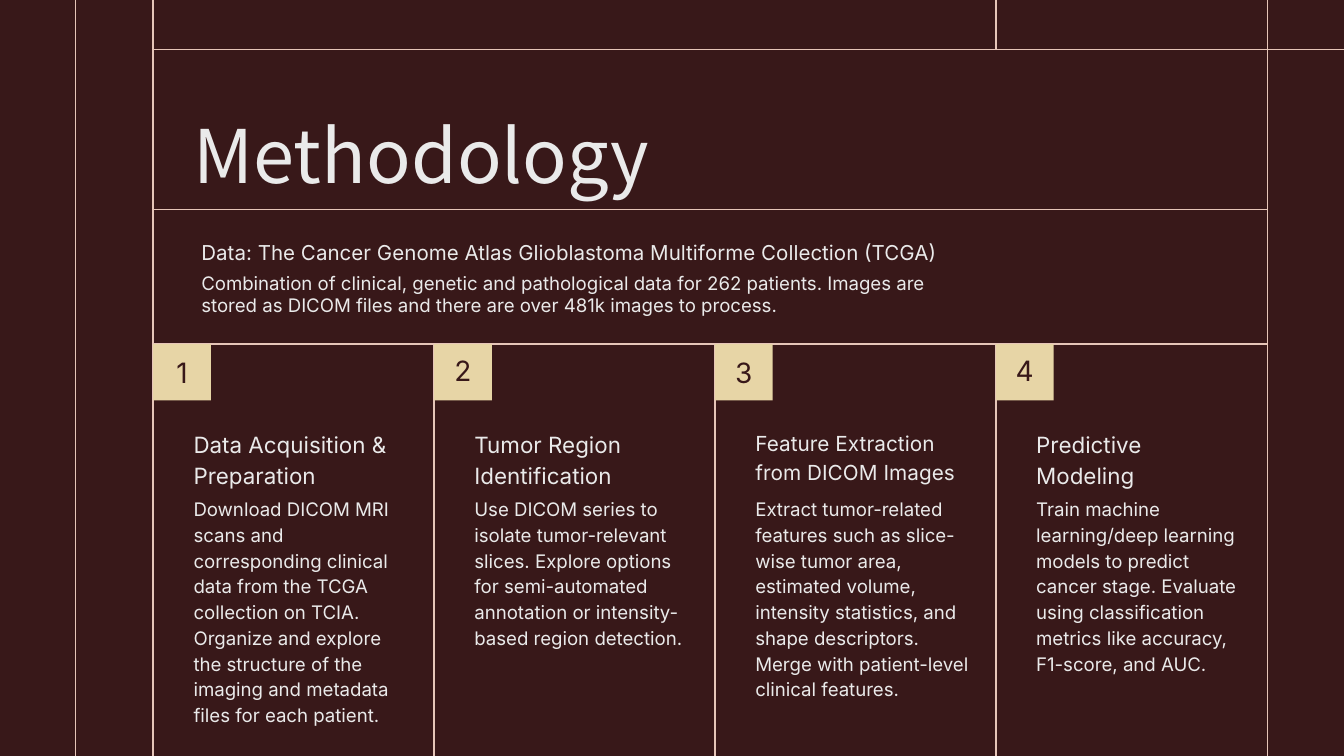
import pptx
import pptx.util
import pptx.dml.color
import pptx.enum.shapes
import pptx.enum.text
import pptx.oxml

Inch = pptx.util.Inches
Anchor = pptx.enum.text.MSO_ANCHOR
Align = pptx.enum.text.PP_ALIGN

WIDE = 10
HIGH = WIDE * 9 / 16
BACK, PALE, ROSE, SAND = "381819", "EAEAEA", "E6C5B8", "E7D5A6"
LEFT, STEP, RIGHT = 1.14, 2.09, 9.43
EDGE, HEAD, RULE, ROW, TEXT = 0.56, 0.37, 1.56, 2.56, 3.68
TAG = (0.43, 0.42)

title = "Methodology"
data = [
    ("Data: The Cancer Genome Atlas Glioblastoma Multiforme Collection (TCGA)", 1.69, 0.39, 11),
    ("Combination of clinical, genetic and pathological data for 262 patients. "
     "Images are stored as DICOM files and there are over 481k images to process.", 1.92, 0.54, 10),
]
steps = [
    ("Data Acquisition & Preparation", 12, 1,
     "Download DICOM MRI scans and corresponding clinical data from the TCGA collection on TCIA. "
     "Organize and explore the structure of the imaging and metadata files for each patient."),
    ("Tumor Region Identification", 12, 0.9,
     "Use DICOM series to isolate tumor-relevant slices. Explore options for semi-automated "
     "annotation or intensity-based region detection."),
    ("Feature Extraction from DICOM Images", 11.1, 1,
     "Extract tumor-related features such as slice-wise tumor area, estimated volume, intensity "
     "statistics, and shape descriptors. Merge with patient-level clinical features."),
    ("Predictive Modeling", 12, 0.9,
     "Train machine learning/deep learning models to predict cancer stage. Evaluate using "
     "classification metrics like accuracy, F1-score, and AUC."),
]
cols = [LEFT + STEP * i for i in range(len(steps))]
lines = [
    (EDGE, 0, EDGE, HIGH),
    (LEFT, 0, LEFT, HIGH),
    (RIGHT, 0, RIGHT, HIGH),
    (cols[-1], 0, cols[-1], HEAD),
    (LEFT, HEAD, WIDE, HEAD),
    (LEFT, RULE, RIGHT, RULE),
    (LEFT, ROW, RIGHT, ROW),
] + [(x, ROW, x, HIGH) for x in cols[1:]]


def paint(hue):
    return pptx.dml.color.RGBColor.from_string(hue)


def put(item, **values):
    for name, value in values.items():
        setattr(item, name, value)


def write(shape, text, size, pads, space=1, hue=PALE, face="Inter",
          anchor=Anchor.TOP, align=Align.LEFT):
    frame = shape.text_frame
    sides = ("margin_left", "margin_top", "margin_right", "margin_bottom")
    put(frame, word_wrap=True, vertical_anchor=anchor,
        **{side: Inch(pad) for side, pad in zip(sides, pads)})
    para = frame.paragraphs[0]
    put(para, text=text, alignment=align, line_spacing=space)
    font = para.runs[0].font
    put(font, size=pptx.util.Pt(size), name=face)
    font.color.rgb = paint(hue)


def label(slide, area, *args, **kind):
    write(slide.shapes.add_textbox(*map(Inch, area)), *args, **kind)


def rule(slide, ends):
    line = slide.shapes.add_connector(
        pptx.enum.shapes.MSO_CONNECTOR.STRAIGHT, *map(Inch, ends))
    line.line.color.rgb = paint(ROSE)
    line.line.width = pptx.util.Pt(0.75)
    line._element.spPr.append(pptx.oxml.parse_xml(
        '<a:effectLst xmlns:a="http://schemas.openxmlformats.org/drawingml/2006/main"/>'))


def badge(slide, x, text, space):
    box = slide.shapes.add_shape(
        pptx.enum.shapes.MSO_SHAPE.RECTANGLE, *map(Inch, (x, ROW, *TAG)))
    box.shadow.inherit = False
    box.fill.solid()
    box.fill.fore_color.rgb = paint(SAND)
    box.line.fill.background()
    write(box, text, 15, (0.1, 0, 0.1, 0), space, BACK,
          anchor=Anchor.MIDDLE, align=Align.CENTER)


def main():
    deck = pptx.Presentation()
    put(deck, slide_width=Inch(WIDE), slide_height=Inch(HIGH))
    slide = deck.slides.add_slide(deck.slide_layouts[6])
    slide.background.fill.solid()
    slide.background.fill.fore_color.rgb = paint(BACK)

    for ends in lines:
        rule(slide, ends)

    label(slide, (LEFT, 0.83, 3 * STEP, 0.76), title, 39.6, (0.3, 0.1, 0.1, 0.1),
          0.8, face="Noto Sans CJK KR", anchor=Anchor.MIDDLE)
    for text, top, tall, size in data:
        label(slide, (1.4, top, 5.94, tall), text, size, (0.1,) * 4)

    base = ROW + TAG[1]
    for i, (x, end) in enumerate(zip(cols, cols[1:] + [RIGHT])):
        name, size, space, body = steps[i]
        badge(slide, x, str(i + 1), space)
        label(slide, (x, base, end - x, TEXT - base), name, size, (0.3, 0.2, 0.2, 0), 1.15)
        label(slide, (x, TEXT, end - x, 1.8), body, 10, (0.3, 0, 0.2, 0), 1.15)

    deck.save("out.pptx")


if __name__ == "__main__":
    main()
